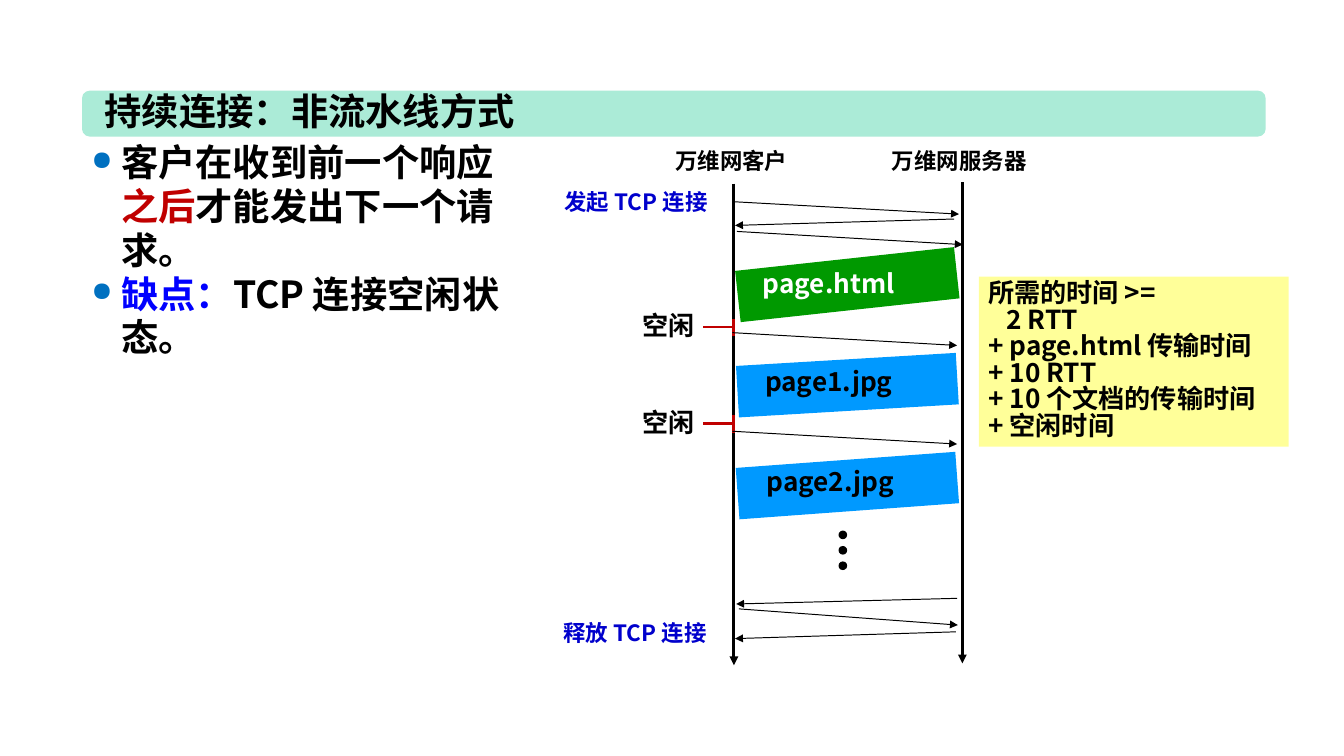
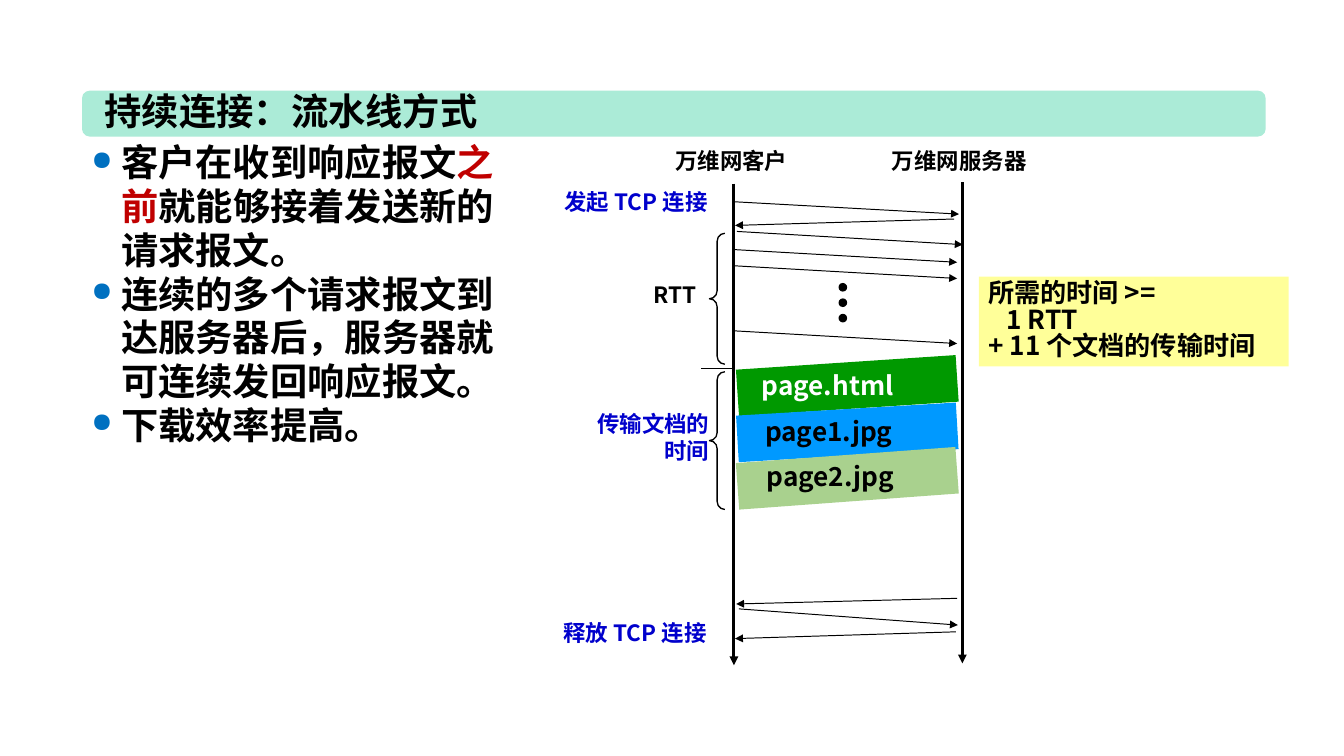
from lxml import etree
from pptx import Presentation
from pptx.dml.color import RGBColor
from pptx.enum.shapes import MSO_CONNECTOR, MSO_SHAPE
from pptx.enum.text import MSO_ANCHOR, PP_ALIGN
from pptx.oxml.ns import qn
from pptx.util import Cm, Pt

STRAIGHT = MSO_CONNECTOR.STRAIGHT
RECTANGLE = MSO_SHAPE.RECTANGLE
ROUNDED = MSO_SHAPE.ROUNDED_RECTANGLE
ELLIPSE = MSO_SHAPE.OVAL
LEFT_BRACE = MSO_SHAPE.LEFT_BRACE
LEFT, RIGHT = PP_ALIGN.LEFT, PP_ALIGN.RIGHT
TOP = MSO_ANCHOR.TOP

BLACK = RGBColor(0x00, 0x00, 0x00)
WHITE = RGBColor(0xFF, 0xFF, 0xFF)
MINT = RGBColor(0xAB, 0xEB, 0xD7)
RED = RGBColor(0xC0, 0x00, 0x00)
BRIGHT_BLUE = RGBColor(0x00, 0x00, 0xFF)
LABEL_BLUE = RGBColor(0x00, 0x00, 0xCC)
BULLET_BLUE = RGBColor(0x00, 0x70, 0xC0)
YELLOW = RGBColor(0xFF, 0xFF, 0x99)
GREEN = RGBColor(0x00, 0x99, 0x00)
SKY = RGBColor(0x00, 0x99, 0xFF)
PALE_GREEN = RGBColor(0xA9, 0xD1, 0x8E)

FONT = "Noto Sans CJK SC"
LARGE, MEDIUM, SMALL = 28.1, 19.7, 16.9

# Time lines of the sequence diagram, in cm
CLIENT_X, SERVER_X = 19.5, 25.57


def add_bullet(paragraph):
    properties = paragraph._p.get_or_add_pPr()
    properties.set("marL", str(Cm(0.79)))
    properties.set("indent", str(-Cm(0.79)))
    color = etree.SubElement(properties, qn("a:buClr"))
    etree.SubElement(color, qn("a:srgbClr")).set("val", str(BULLET_BLUE))
    etree.SubElement(properties, qn("a:buSzPct")).set("val", "72000")
    etree.SubElement(properties, qn("a:buChar")).set("char", "●")


def write_text(frame, paragraphs, size=SMALL, color=BLACK, align=LEFT,
               spacing=None, bullets=False, indents=None):
    """Each paragraph is a string or a list of (text, color) runs."""
    frame.vertical_anchor = TOP
    for index, content in enumerate(paragraphs):
        paragraph = frame.paragraphs[0] if index == 0 else frame.add_paragraph()
        if bullets:
            add_bullet(paragraph)
        if indents and index in indents:
            paragraph._p.get_or_add_pPr().set("marL", str(Cm(indents[index])))
        paragraph.alignment = align
        if spacing:
            paragraph.line_spacing = Pt(spacing)
        runs = [(content, color)] if isinstance(content, str) else content
        for text, run_color in runs:
            run = paragraph.add_run()
            run.text = text
            run.font.size = Pt(size)
            run.font.bold = True
            run.font.name = FONT
            run.font.color.rgb = run_color
            east_asian = etree.SubElement(run.font._element, qn("a:ea"))
            east_asian.set("typeface", FONT)


def add_text(slide, left, top, width, height, paragraphs, wrap=True,
             insets=(0.25, 0.13), **text_format):
    box = slide.shapes.add_textbox(Cm(left), Cm(top), Cm(width), Cm(height))
    frame = box.text_frame
    frame.word_wrap = wrap
    frame.margin_left = frame.margin_right = Cm(insets[0])
    frame.margin_top = frame.margin_bottom = Cm(insets[1])
    write_text(frame, paragraphs, **text_format)


def add_filled(slide, kind, left, top, width, height, fill):
    shape = slide.shapes.add_shape(kind, Cm(left), Cm(top), Cm(width), Cm(height))
    shape.shadow.inherit = False
    shape.fill.solid()
    shape.fill.fore_color.rgb = fill
    shape.line.fill.background()
    return shape


def add_line(slide, start, end, width=0.75, color=BLACK, arrow=False):
    line = slide.shapes.add_connector(
        STRAIGHT, Cm(start[0]), Cm(start[1]), Cm(end[0]), Cm(end[1]))
    line.line.width = Pt(width)
    line.line.color.rgb = color
    if arrow:
        tail = etree.SubElement(line.line._get_or_add_ln(), qn("a:tailEnd"))
        tail.set("type", "triangle")
    etree.SubElement(line._element.spPr, qn("a:effectLst"))


def add_request(slide, top):
    add_line(slide, (19.46, top), (25.43, top + 0.34), arrow=True)


def add_dots(slide, top):
    for index in range(3):
        add_filled(slide, ELLIPSE, 22.28, top + index * 0.41, 0.23, 0.23, BLACK)


def add_block(slide, name, top, height, angle, fill, label_left, label_offset,
              color=BLACK):
    """Tilted data block with an upright file name."""
    block = add_filled(slide, RECTANGLE, 19.59, top, 5.85, height, fill)
    block.rotation = angle
    add_text(slide, label_left, top + label_offset, 4.95, 1.09, [name],
             size=MEDIUM, color=color)


def add_idle(slide, y):
    add_text(slide, 16.83, y - 0.59, 2.36, 1.09, ["空闲"], size=MEDIUM)
    add_line(slide, (18.69, y), (19.46, y), 2.25, RED)
    add_line(slide, (19.48, y + 0.25), (19.48, y - 0.21), 2.25, RED)


def add_brace(slide, top, height):
    brace = slide.shapes.add_shape(
        LEFT_BRACE, Cm(18.85), Cm(top), Cm(0.41), Cm(height))
    brace.shadow.inherit = False
    brace.fill.background()
    brace.line.color.rgb = BLACK
    brace.line.width = Pt(1)
    brace.adjustments[0] = 0.52


def add_note(slide, height, lines):
    note = add_filled(slide, RECTANGLE, 26.01, 7.35, 8.23, height, YELLOW)
    note.text_frame.word_wrap = True
    write_text(note.text_frame, lines, size=MEDIUM, spacing=20,
               indents={1: 0.48})


def add_base(presentation, title, bullets, body_height):
    """Title band, bullet list, time lines, connection set-up and release."""
    slide = presentation.slides.add_slide(presentation.slide_layouts[6])
    add_text(slide, 2.18, 3.6, 11.89, body_height, bullets, size=LARGE,
             spacing=33, bullets=True)
    add_filled(slide, ROUNDED, 2.18, 2.41, 31.45, 1.22, MINT)
    add_text(slide, 2.53, 2.21, 14, 1.45, [title], size=LARGE)

    # Time lines with headings wide enough for one line
    add_line(slide, (CLIENT_X, 4.88), (CLIENT_X, 17.68), 2.25, arrow=True)
    add_line(slide, (SERVER_X, 4.85), (SERVER_X, 17.63), 2.25, arrow=True)
    for left, name in ((23.34, "万维网服务器"), (17.58, "万维网客户")):
        add_text(slide, left, 3.73, 5.2, 1.07, [name], insets=(0.36, 0.18))

    # Set-up and release messages
    messages = (
        ((19.48, 5.36), (25.48, 5.69)),
        ((25.35, 5.82), (19.53, 5.99)),
        ((19.58, 6.15), (25.58, 6.5)),
        ((25.43, 15.9), (19.56, 16.05)),
        ((19.63, 16.18), (25.45, 16.61)),
        ((25.4, 16.79), (19.53, 16.97)),
    )
    for start, end in messages:
        add_line(slide, start, end, arrow=True)
    for left, top, label in ((14.75, 4.88, "发起 TCP 连接"),
                             (14.72, 16.33, "释放 TCP 连接")):
        add_text(slide, left, top, 4.9, 0.97, [label], color=LABEL_BLUE)
    return slide


def build_non_pipelined(presentation):
    slide = add_base(presentation, "持续连接：非流水线方式", [
        [("客户在收到前一个响应", BLACK), ("之后", RED),
         ("才能发出下一个请求。", BLACK)],
        [("缺点：", BRIGHT_BLUE), ("TCP 连接空闲状态。", BLACK)],
    ], 6.12)
    add_block(slide, "page.html", 6.88, 1.37, -6.2, GREEN, 20.02, 0.1, WHITE)
    add_block(slide, "page1.jpg", 9.55, 1.37, -3.4, SKY, 20.08, 0.04)
    add_block(slide, "page2.jpg", 12.22, 1.37, -4.2, SKY, 20.12, 0.02)
    for idle_y, request_top in ((8.69, 8.84), (11.25, 11.46)):
        add_idle(slide, idle_y)
        add_request(slide, request_top)
    add_dots(slide, 14.1)
    add_note(slide, 4.52, ["所需的时间 >=", "2 RTT", "+ page.html 传输时间",
                           "+ 10 RTT", "+ 10 个文档的传输时间", "+ 空闲时间"])


def build_pipelined(presentation):
    slide = add_base(presentation, "持续连接：流水线方式", [
        [("客户在收到响应报文", BLACK), ("之前", RED),
         ("就能够接着发送新的请求报文。", BLACK)],
        "连续的多个请求报文到达服务器后，服务器就可连续发回响应报文。",
        "下载效率提高。",
    ], 8.48)
    add_note(slide, 2.39, ["所需的时间 >=", "1 RTT", "+ 11 个文档的传输时间"])

    # Requests sent within one round trip
    add_dots(slide, 7.52)
    for top in (6.63, 7.06, 8.79):
        add_request(slide, top)
    add_brace(slide, 6.2, 3.48)
    add_text(slide, 17.12, 7.34, 1.68, 0.97, ["RTT"], wrap=False)
    add_line(slide, (CLIENT_X, 9.78), (18.62, 9.78))

    # Documents sent back to back
    add_block(slide, "page.html", 9.63, 1.24, -3.8, GREEN, 19.99, 0.06, WHITE)
    add_block(slide, "page1.jpg", 10.87, 1.24, -3.4, SKY, 20.08, 0.03)
    add_block(slide, "page2.jpg", 12.09, 1.24, -4.2, PALE_GREEN, 20.12, 0.01)
    add_brace(slide, 9.88, 3.66)
    add_text(slide, 15.06, 10.77, 4.04, 1.7, ["传输文档的时间"],
             color=LABEL_BLUE, align=RIGHT)


def main():
    presentation = Presentation()
    presentation.slide_width = Cm(35.71)
    presentation.slide_height = Cm(20.09)
    build_non_pipelined(presentation)
    build_pipelined(presentation)
    presentation.save("out.pptx")


if __name__ == "__main__":
    main()
